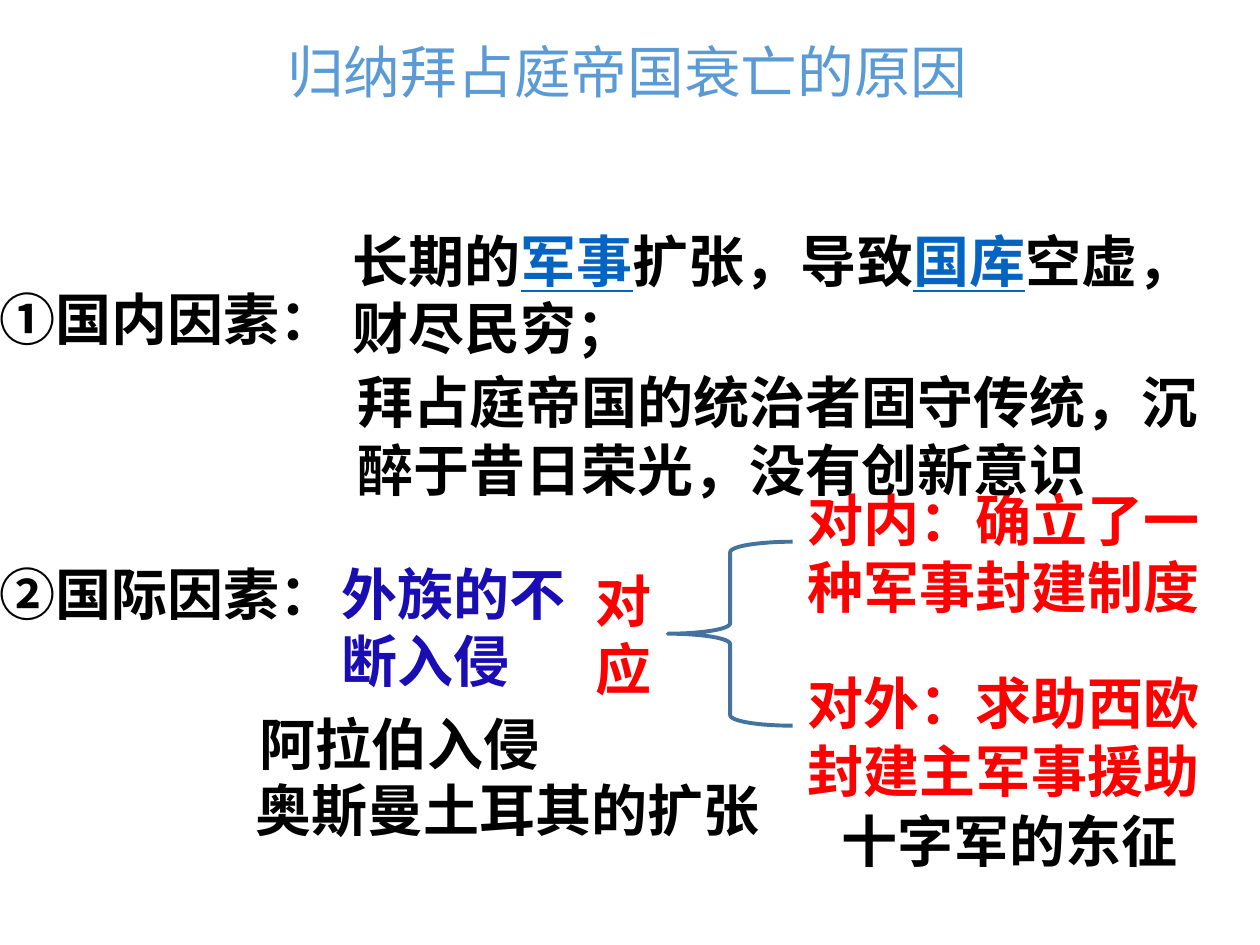
from dataclasses import dataclass
from typing import NamedTuple

from pptx import Presentation
from pptx.dml.color import RGBColor
from pptx.enum.shapes import MSO_SHAPE
from pptx.enum.text import MSO_ANCHOR, MSO_AUTO_SIZE, PP_ALIGN
from pptx.oxml.ns import qn
from pptx.util import Inches, Pt

COLUMNS, ROWS = 100, 75
SLIDE_W, SLIDE_H = Inches(10), Inches(7.5)


@dataclass(frozen=True)
class Theme:
    font: str = "Noto Sans CJK SC"
    title_size: float = 32.4
    body_size: float = 32
    title: str = "5B9BD5"
    body: str = "000000"
    link: str = "0563C1"
    invasion: str = "190DB3"
    response: str = "FF0000"
    brace: str = "43739E"
    brace_width: float = 2.25


THEME = Theme()


class Cell(NamedTuple):
    col: float
    row: float
    cols: float
    rows: float


class Note(NamedTuple):
    cell: Cell
    text: str
    color: str = THEME.body
    wrap: bool = True


ONE_LINE, TWO_LINES = 6.4, 11.8

NOTES = [
    Note(Cell(-1, 43.9, 65.9, ONE_LINE), "②国际因素："),
    Note(Cell(19.6, 55.8, 24.3, ONE_LINE), "阿拉伯入侵", wrap=False),
    Note(Cell(19.3, 61.1, 42.2, ONE_LINE), "奥斯曼土耳其的扩张", wrap=False),
    Note(Cell(63.1, 38, 37.2, TWO_LINES), "对内：确立了一种军事封建制度", THEME.response),
    Note(Cell(63.1, 52.6, 35.3, TWO_LINES), "对外：求助西欧封建主军事援助", THEME.response),
    Note(Cell(-1, 22.1, 28.8, ONE_LINE), "①国内因素：", wrap=False),
    Note(Cell(26.1, 43.9, 22.2, TWO_LINES), "外族的不断入侵", THEME.invasion),
    Note(Cell(65.8, 63.5, 28.8, ONE_LINE), "十字军的东征", wrap=False),
    Note(Cell(27.4, 28.7, 69.1, TWO_LINES), "拜占庭帝国的统治者固守传统，沉醉于昔日荣光，没有创新意识"),
    Note(Cell(27, 17.5, 67.8, TWO_LINES), "长期的|军事|扩张，导致|国库|空虚，财尽民穷；"),
    Note(Cell(46.3, 44.5, 5.1, TWO_LINES), "对应", THEME.response),
]


def place(cell: Cell) -> tuple[int, int, int, int]:
    """Turn grid units into left, top, width and height."""
    dx, dy = SLIDE_W / COLUMNS, SLIDE_H / ROWS
    return (round(cell.col * dx), round(cell.row * dy),
            round(cell.cols * dx), round(cell.rows * dy))


def add_run(p, text: str, color: str, **formats) -> None:
    r = p.add_run()
    r.text = text
    for name, value in ({"name": THEME.font} | formats).items():
        setattr(r.font, name, value)
    r.font.color.rgb = RGBColor.from_string(color)
    ea = r.font._element.makeelement(qn("a:ea"), {"typeface": THEME.font})
    r.font._element.find(qn("a:latin")).addnext(ea)


def add_note(s, note: Note) -> None:
    """Add a text box; every second part between bars is an underlined term."""
    tf = s.shapes.add_textbox(*place(note.cell)).text_frame
    tf.word_wrap = note.wrap
    tf.auto_size = MSO_AUTO_SIZE.SHAPE_TO_FIT_TEXT
    for i, part in enumerate(note.text.split("|")):
        is_term = i % 2 == 1
        add_run(tf.paragraphs[0], part, THEME.link if is_term else note.color,
                size=Pt(THEME.body_size), bold=True, underline=is_term)


def add_outline_shape(s, kind: MSO_SHAPE, cell: Cell):
    sp = s.shapes.add_shape(kind, *place(cell))
    sp.shadow.inherit = False
    sp.fill.background()
    return sp


def add_title(s, text: str) -> None:
    sp = add_outline_shape(s, MSO_SHAPE.ROUNDED_RECTANGLE, Cell(1.8, 0.4, 96, 10.4))
    sp.line.fill.background()
    tf = sp.text_frame
    tf.word_wrap = True
    tf.vertical_anchor = MSO_ANCHOR.MIDDLE
    p = tf.paragraphs[0]
    p.alignment = PP_ALIGN.CENTER
    add_run(p, text, THEME.title, size=Pt(THEME.title_size))


def add_brace(s) -> None:
    sp = add_outline_shape(s, MSO_SHAPE.LEFT_BRACE, Cell(53, 43, 9.9, 14.6))
    sp.line.color.rgb = RGBColor.from_string(THEME.brace)
    sp.line.width = Pt(THEME.brace_width)


def main() -> None:
    prs = Presentation()
    prs.slide_width, prs.slide_height = SLIDE_W, SLIDE_H
    s = prs.slides.add_slide(prs.slide_layouts[6])
    add_title(s, "归纳拜占庭帝国衰亡的原因")
    add_brace(s)
    for note in NOTES:
        add_note(s, note)
    prs.save("out.pptx")


if __name__ == "__main__":
    main()
